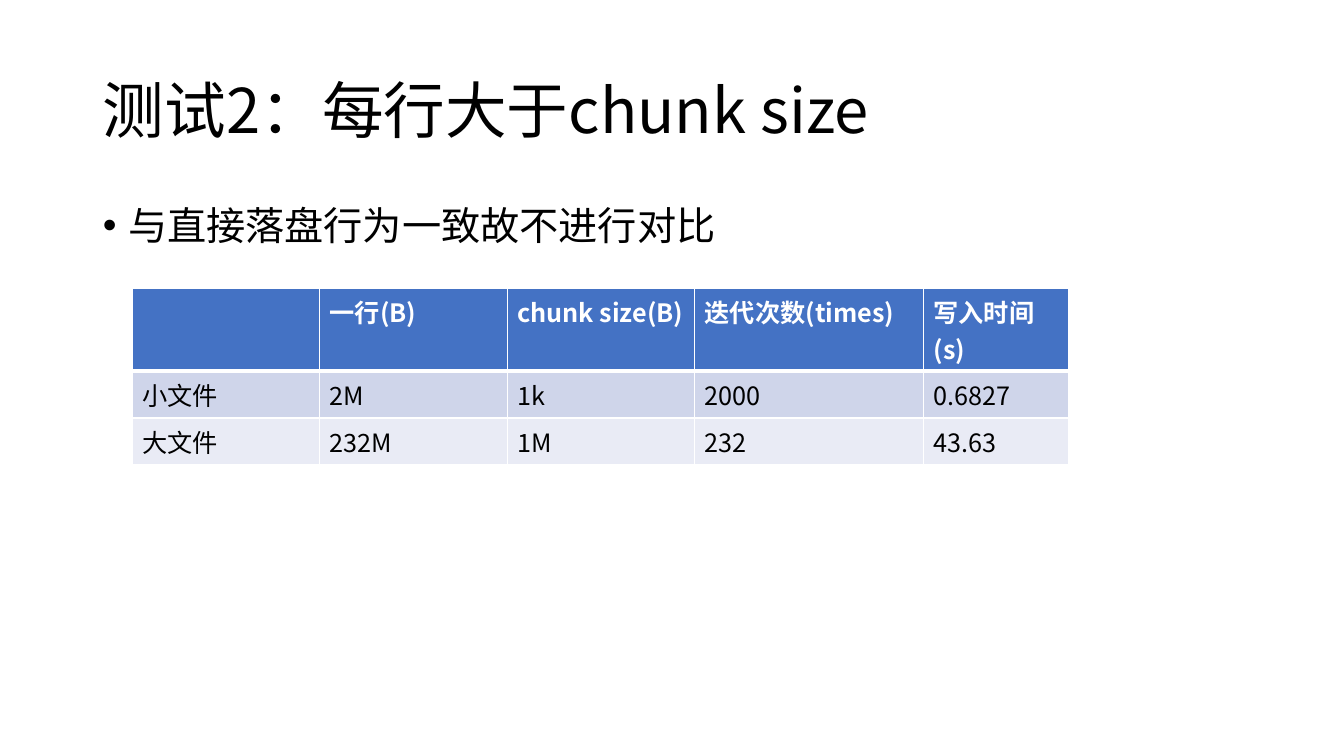
from lxml import etree
from pptx import Presentation
from pptx import util as u
from pptx.dml.color import RGBColor
from pptx.enum import text
from pptx.oxml.ns import qn

COLORS = {
    "ink": "000000",
    "paper": "FFFFFF",
    "header": "4472C4",
    "band_dark": "CFD5EA",
    "band_light": "E9EBF5",
}
ROWS = [
    ["", "一行(B)", "chunk size(B)", "迭代次数(times)", "写入时间(s)"],
    ["小文件", "2M", "1k", "2000", "0.6827"],
    ["大文件", "232M", "1M", "232", "43.63"],
]
COLUMN_WIDTHS = [1.86, 1.86, 1.86, 2.27, 1.44]
ROW_HEIGHT = 0.41


class SlideBuilder:
    def __init__(self, slide, font="Noto Sans CJK SC"):
        self.slide = slide
        self.font = font

    def add_span(self, para, words, size, color="ink", bold=False):
        span = para.add_run()
        span.text = words
        span.font.size = u.Pt(size)
        span.font.bold = bold
        span.font.color.rgb = RGBColor.from_string(COLORS[color])
        span.font.name = self.font
        etree.SubElement(span.font._element, qn("a:ea"), typeface=self.font)

    def place(self, box, left, top, width, height, anchor):
        """Move a placeholder and return its first paragraph, left aligned."""
        box.left, box.top = u.Inches(left), u.Inches(top)
        box.width, box.height = u.Inches(width), u.Inches(height)
        box.text_frame.vertical_anchor = anchor
        para = box.text_frame.paragraphs[0]
        para.alignment = text.PP_ALIGN.LEFT
        para.line_spacing = 0.9
        para.space_before = u.Pt(0)
        return para

    def title(self, words):
        para = self.place(self.slide.shapes.title, 0.92, 0.4, 11.5, 1.45,
                          text.MSO_ANCHOR.MIDDLE)
        self.add_span(para, words, 44)

    def bullet(self, words):
        para = self.place(self.slide.placeholders[1], 0.92, 2, 11.5, 4.76,
                          text.MSO_ANCHOR.TOP)
        props = para._p.get_or_add_pPr()
        props.set("marL", str(u.Inches(0.25)))
        props.set("indent", str(u.Inches(-0.25)))
        etree.SubElement(props, qn("a:buFont"), typeface="Arial")
        etree.SubElement(props, qn("a:buChar"), char="•")
        self.add_span(para, words, 28)

    def border(self, cell, bottom):
        """Draw white cell borders; bottom is the lower line's width in points."""
        props = cell._tc.get_or_add_tcPr()
        widths = {"lnL": 1, "lnR": 1, "lnT": 1, "lnB": bottom}
        for index, (side, width) in enumerate(widths.items()):
            line = etree.Element(qn(f"a:{side}"), w=str(u.Pt(width)))
            fill = etree.SubElement(line, qn("a:solidFill"))
            etree.SubElement(fill, qn("a:srgbClr"), val=COLORS["paper"])
            props.insert(index, line)

    def table(self, rows, widths, left, top):
        frame = self.slide.shapes.add_table(
            len(rows), len(widths), u.Inches(left), u.Inches(top),
            u.Inches(sum(widths)), u.Inches(ROW_HEIGHT * len(rows)))
        grid = frame.table
        for column, width in zip(grid.columns, widths):
            column.width = u.Inches(width)
        fills = ["header", "band_dark", "band_light"]
        for r, (row, fill) in enumerate(zip(rows, fills)):
            grid.rows[r].height = u.Inches(ROW_HEIGHT)
            is_header = r == 0
            for c, words in enumerate(row):
                cell = grid.cell(r, c)
                cell.fill.solid()
                cell.fill.fore_color.rgb = RGBColor.from_string(COLORS[fill])
                self.border(cell, 3 if is_header else 1)
                if r == 1:
                    cell._tc.tcPr.find(qn("a:lnT")).set("w", str(u.Pt(3)))
                if words:
                    self.add_span(cell.text_frame.paragraphs[0], words, 18,
                                  "paper" if is_header else "ink", is_header)


def main():
    deck = Presentation()
    deck.slide_width, deck.slide_height = u.Inches(13.33), u.Inches(7.5)
    page = SlideBuilder(deck.slides.add_slide(deck.slide_layouts[1]))
    page.title("测试2：每行大于chunk size")
    page.bullet("与直接落盘行为一致故不进行对比")
    page.table(ROWS, COLUMN_WIDTHS, 1.31, 2.86)
    deck.save("out.pptx")


if __name__ == "__main__":
    main()
